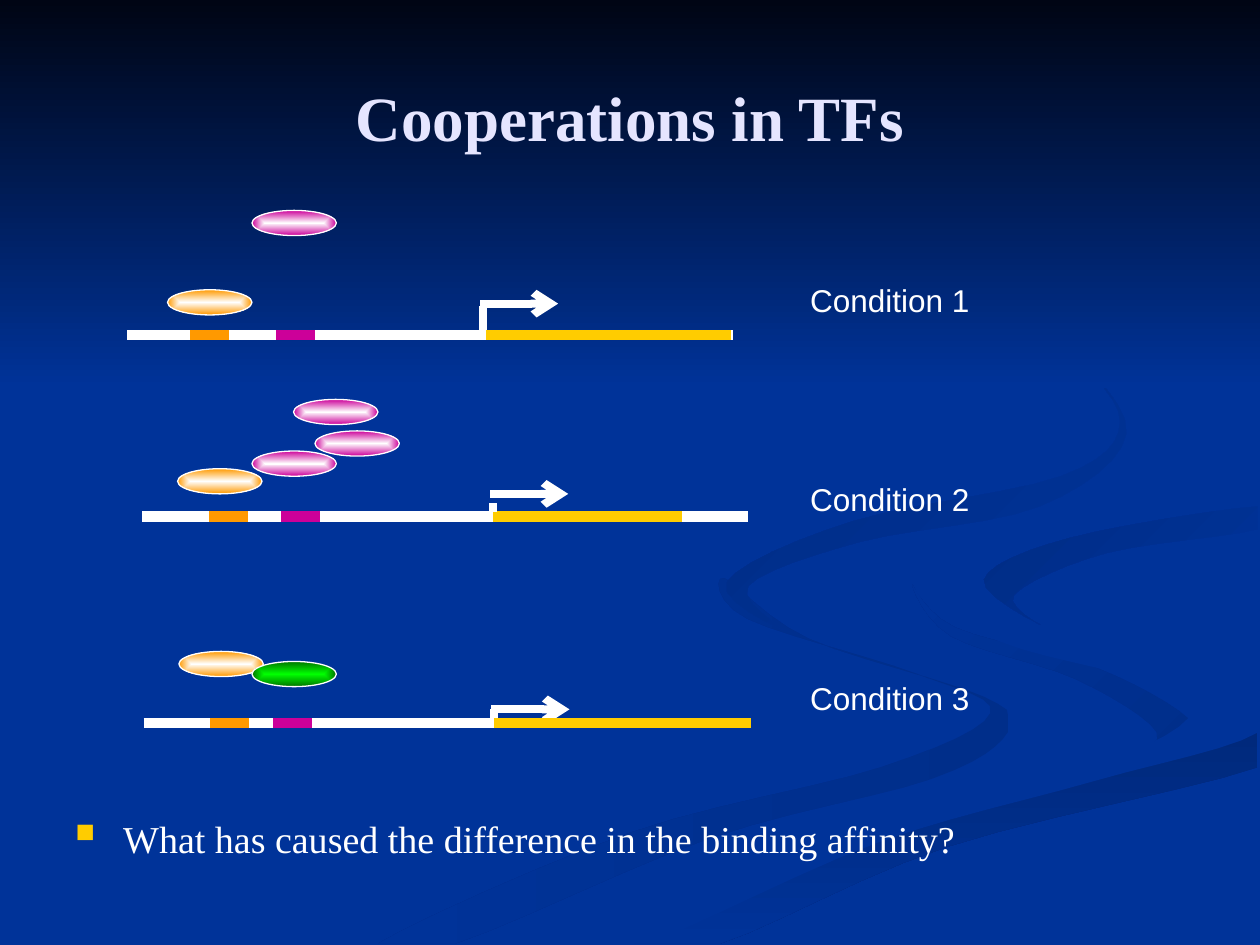
import pptx
import pptx.dml.color
import pptx.enum.shapes
import pptx.enum.text
import pptx.oxml
import pptx.oxml.ns
import pptx.util
from lxml import etree

Inches = pptx.util.Inches
RGB = pptx.dml.color.RGBColor
ALIGN = pptx.enum.text.PP_ALIGN
ANCHOR = pptx.enum.text.MSO_ANCHOR

WIDTH, HEIGHT = 10, 7.5
BLUE, NIGHT = RGB.from_string("003399"), RGB.from_string("000514")
RIBBON_EDGE, RIBBON_DARK = RGB.from_string("002E8A"), RGB.from_string("00297C")
RIBBON_MID, RIBBON_LOW = RGB.from_string("002C85"), RGB.from_string("002B81")
WHITE, LAVENDER = RGB.from_string("FFFFFF"), RGB.from_string("E5E5FF")
GOLD, ORANGE = RGB.from_string("FFCC00"), RGB.from_string("FF9900")
MAGENTA = RGB.from_string("CC0099")
LIME, GREEN = RGB.from_string("00FF00"), RGB.from_string("007500")

TITLE = "Cooperations in TFs"
QUESTION = "What has caused the difference in the binding affinity?"

# Background ribbons: first colour, last colour, clockwise angle, curve knots
RIBBONS = [
    (RIBBON_EDGE, BLUE, 180, [
        (7.81, 5.53), (6.42, 5.07), (5.75, 4.59), (5.93, 4.91), (7.28, 5.35),
        (7.86, 5.66), (6.99, 6.09), (5, 6.61), (3, 7.49), (3.61, 7.49),
        (5.64, 6.65), (7.4, 6.18), (8, 5.81)]),
    (RIBBON_EDGE, BLUE, 225, [
        (9.43, 5.7), (8.7, 5.3), (7.58, 4.98), (7.24, 4.64), (7.55, 5.05),
        (8.54, 5.39), (9.18, 5.81), (8.94, 6.05), (9.32, 5.89)]),
    (RIBBON_DARK, BLUE, 90, [
        (5.03, 7.49), (5.71, 7.49), (7.52, 6.72), (9.98, 6.09), (9.98, 5.81),
        (8.67, 6.2), (6.96, 6.69)]),
    (BLUE, BLUE, 0, [
        (7.25, 4.64), (7.93, 5.09), (9.05, 5.4), (9.43, 5.7), (8.43, 6.18),
        (6.19, 6.84), (4.77, 7.49), (5.19, 7.47), (6.96, 6.69), (8.68, 6.2),
        (9.99, 5.81), (9.99, 5.38), (8.48, 5.03), (7.81, 4.63), (8.5, 4.27),
        (9.99, 4.02), (9.99, 3.87), (7.88, 4.22)]),
    (BLUE, RIBBON_MID, 225, [
        (7.81, 4.6), (8.26, 4.96), (8.05, 4.72), (8.78, 4.39), (9.98, 4.2),
        (9.98, 4.02), (8.49, 4.27)]),
    (BLUE, RIBBON_LOW, 225, [
        (6.83, 4.3), (8.25, 4.02), (8.94, 3.44), (8.43, 2.75), (7.62, 2.33),
        (8.46, 2.79), (8.89, 3.35), (8.42, 3.78), (6.76, 4.14), (5.77, 4.62),
        (6.22, 5), (5.94, 4.65)]),
]
CURVE_STEPS = 6
SKY_BOTTOM = 3.08

# Factor kinds: centre colour, rim colour
FACTORS = {"orange": (WHITE, ORANGE), "pink": (WHITE, MAGENTA), "green": (LIME, GREEN)}
FACTOR_SIZE = (0.67, 0.2)
ARROW_LENGTH, SITE_LENGTH, STRAND_LENGTH = 0.62, 0.31, 4.81
STRAND_WEIGHT, PROMOTER_WEIGHT = 6, 4.5
LABEL_LEFT, LABEL_TOP, LABEL_STEP = 6.23, 2.08, 1.58

# Sites are left ends of the orange and magenta stretches;
# promoter is x, top of the riser and height of the arrow
CONDITIONS = [
    {"label": "Condition 1", "left": 1.01, "y": 2.66, "gene": (3.86, 5.8),
     "sites": (1.51, 2.19), "promoter": (3.83, 2.43, 2.41),
     "factors": [("orange", 1.33, 2.3), ("pink", 2, 1.67)]},
    {"label": "Condition 2", "left": 1.13, "y": 4.1, "gene": (3.91, 5.41),
     "sites": (1.66, 2.23), "promoter": (3.91, 3.99, 3.92),
     "factors": [("orange", 1.41, 3.72), ("pink", 2, 3.58),
                 ("pink", 2.33, 3.17), ("pink", 2.5, 3.42)]},
    {"label": "Condition 3", "left": 1.14, "y": 5.74, "gene": (3.92, 5.96),
     "sites": (1.67, 2.17), "promoter": (3.92, 5.63, 5.63),
     "factors": [("orange", 1.42, 5.17), ("green", 2, 5.25)]},
]


def add_child(parent, tag, **attributes):
    return etree.SubElement(parent, pptx.oxml.ns.qn(tag), attributes)


def fill_gradient(shape, first, last, angle=None):
    """Fill along a clockwise angle, or from the centre outwards without one."""
    shape.fill.gradient()
    for stop, color in zip(shape.fill.gradient_stops, (first, last)):
        stop.color.rgb = color
    if angle is not None:
        shape.fill.gradient_angle = (360 - angle) % 360
        return
    gradient = shape._element.spPr.find(pptx.oxml.ns.qn("a:gradFill"))
    gradient.remove(gradient.find(pptx.oxml.ns.qn("a:lin")))
    path = add_child(gradient, "a:path", path="rect")
    add_child(path, "a:fillToRect", **dict.fromkeys("ltrb", "50000"))


def smooth(knots):
    """Run a closed Catmull-Rom curve through the knots, kept in their bounds."""
    bounds = [(min(axis), max(axis)) for axis in zip(*knots)]
    count = len(knots)
    curve = []
    for index in range(count):
        near = [knots[(index + shift) % count] for shift in (-1, 0, 1, 2)]
        for step in range(CURVE_STEPS):
            t = step / CURVE_STEPS
            point = []
            for (a, b, c, d), (low, high) in zip(zip(*near), bounds):
                value = b + t / 2 * (c - a + t * (2 * a - 5 * b + 4 * c - d
                                                  + t * (3 * (b - c) + d - a)))
                point.append(min(max(value, low), high))
            curve.append(point)
    return curve


def add_ribbon(shapes, first, last, angle, knots):
    points = [tuple(map(Inches, point)) for point in smooth(knots)]
    builder = shapes.build_freeform(*points[0])
    builder.add_line_segments(points[1:], close=True)
    paint(builder.convert_to_shape(), first, last, angle)


def paint(shape, first, last, angle):
    shape.shadow.inherit = False
    shape.line.fill.background()
    fill_gradient(shape, first, last, angle)


def add_line(shapes, start, end, color, weight, arrow=False):
    line = shapes.add_connector(pptx.enum.shapes.MSO_CONNECTOR.STRAIGHT,
                                *map(Inches, (*start, *end)))
    line.line.color.rgb = color
    line.line.width = pptx.util.Pt(weight)
    properties = line._element.spPr
    if arrow:
        add_child(properties.find(pptx.oxml.ns.qn("a:ln")), "a:tailEnd", type="arrow")
    add_child(properties, "a:effectLst")


def add_factor(shapes, kind, left, top):
    factor = shapes.add_shape(pptx.enum.shapes.MSO_SHAPE.OVAL,
                              *map(Inches, (left, top, *FACTOR_SIZE)))
    factor.shadow.inherit = False
    fill_gradient(factor, *FACTORS[kind])
    factor.line.color.rgb = WHITE
    factor.line.width = pptx.util.Pt(0.75)


def write(box, text, size, font, color, bold=False, align=ALIGN.LEFT, anchor=ANCHOR.TOP,
          insets=(0.1, 0.05), wrap=True, spacing=None, hanging=0, bullet=None):
    frame = box.text_frame
    frame.word_wrap = wrap
    frame.auto_size = pptx.enum.text.MSO_AUTO_SIZE.NONE
    frame.vertical_anchor = anchor
    frame.margin_left = frame.margin_right = Inches(insets[0])
    frame.margin_top = frame.margin_bottom = Inches(insets[1])
    para = frame.paragraphs[0]
    para.alignment = align
    if spacing:
        para.line_spacing = spacing
    if bullet:
        properties = para._p.get_or_add_pPr()
        properties.set("marL", str(Inches(hanging)))
        properties.set("indent", str(-Inches(hanging)))
        add_child(add_child(properties, "a:buClr"), "a:srgbClr", val=str(GOLD))
        add_child(properties, "a:buSzPct", val="70000")
        add_child(properties, "a:buChar", char=bullet)
    span = para.add_run()
    span.text = text
    span.font.size = pptx.util.Pt(size)
    span.font.name = font
    span.font.bold = bold
    span.font.color.rgb = color


def add_condition(shapes, row, condition):
    y, left = condition["y"], condition["left"]
    x, riser_top, arrow_y = condition["promoter"]
    add_line(shapes, (x - 0.02, arrow_y), (x - 0.02 + ARROW_LENGTH, arrow_y),
             WHITE, PROMOTER_WEIGHT, arrow=True)
    stretches = [(left, left + STRAND_LENGTH, WHITE), (*condition["gene"], GOLD)]
    for start, color in zip(condition["sites"], (ORANGE, MAGENTA)):
        stretches.append((start, start + SITE_LENGTH, color))
    for start, end, color in stretches:
        add_line(shapes, (start, y), (end, y), color, STRAND_WEIGHT)
    add_line(shapes, (x, y - 0.04), (x, riser_top), WHITE, PROMOTER_WEIGHT)
    for factor in condition["factors"]:
        add_factor(shapes, *factor)
    label = shapes.add_textbox(
        *map(Inches, (LABEL_LEFT, LABEL_TOP + row * LABEL_STEP, 2.05, 0.6)))
    write(label, condition["label"], 18, "Arial", WHITE, insets=(0.2, 0.15), wrap=False)


def main():
    deck = pptx.Presentation()
    deck.slide_width, deck.slide_height = Inches(WIDTH), Inches(HEIGHT)
    page = deck.slides.add_slide(deck.slide_layouts[5])
    page.background.fill.solid()
    page.background.fill.fore_color.rgb = BLUE
    shapes = page.shapes

    for ribbon in RIBBONS:
        add_ribbon(shapes, *ribbon)
    sky = shapes.add_shape(pptx.enum.shapes.MSO_SHAPE.RECTANGLE,
                           *map(Inches, (0, 0, WIDTH, SKY_BOTTOM)))
    paint(sky, NIGHT, BLUE, 90)

    title = shapes.title
    title.left, title.top, title.width, title.height = map(Inches, (0.5, 0.3, 9, 1.25))
    write(title, TITLE, 36, "Times New Roman", LAVENDER, bold=True,
          align=ALIGN.CENTER, anchor=ANCHOR.MIDDLE)
    shapes._spTree.append(title._element)

    for row, condition in enumerate(CONDITIONS):
        add_condition(shapes, row, condition)

    question = shapes.add_textbox(*map(Inches, (0.5, 6.5, 9, 0.5)))
    write(question, QUESTION, 21.7, "Times New Roman", WHITE, insets=(0.1, 0.1),
          spacing=0.6, hanging=0.38, bullet="■")
    deck.save("out.pptx")


if __name__ == "__main__":
    main()
